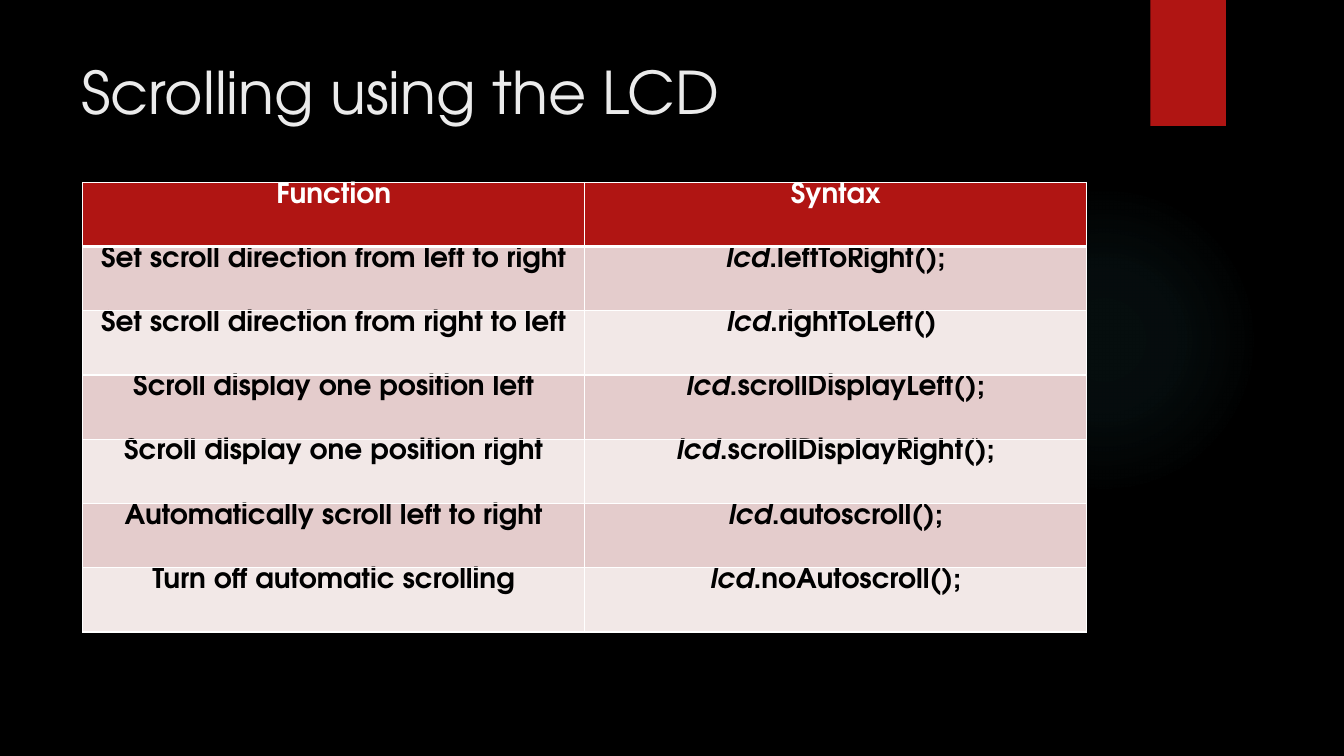
from lxml import etree
from pptx import Presentation, util as u
from pptx.dml.color import RGBColor
from pptx.enum import shapes, text
from pptx.oxml import parse_xml
from pptx.oxml.ns import nsdecls, qn

W, H = 13.33, 7.5
FONT = "TeX Gyre Adventor"
COLORS = {"back": "000000", "red": "B01513", "glow": "50B9C1", "title": "EBEBEB",
          "white": "FFFFFF", "ink": "000000", "odd": "E4CCCC", "even": "F2E8E7"}
GLOW_STOPS = [(0, 7), (36, 6), (69, 0)]  # position and opacity, in percent
HEADER = ("Function", "Syntax")
OBJECT = "lcd"
ROWS = [
    ("Set scroll direction from left to right", ".leftToRight();"),
    ("Set scroll direction from right to left", ".rightToLeft() "),
    ("Scroll display one position left", ".scrollDisplayLeft();"),
    ("Scroll display one position right", ".scrollDisplayRight();"),
    ("Automatically scroll left to right", ".autoscroll();"),
    ("Turn off automatic scrolling", ".noAutoscroll();"),
]


def rgb(name):
    return RGBColor.from_string(COLORS[name])


def inches(box):
    return [u.Inches(v) for v in box]


def add_run(p, content, size=20, color="ink", bold=None, italic=None):
    r = p.add_run()
    r.text = content
    f = r.font
    f.name, f.size, f.bold, f.italic = FONT, u.Pt(size), bold, italic
    f.color.rgb = rgb(color)


def add_plain_shape(s, kind, box):
    sp = s.shapes.add_shape(kind, *inches(box))
    sp.shadow.inherit = False
    sp.line.fill.background()
    return sp


def add_glow(s, box):
    sp = add_plain_shape(s, shapes.MSO_SHAPE.OVAL, box)
    stops = "".join(
        f'<a:gs pos="{pos * 1000}"><a:srgbClr val="{COLORS["glow"]}">'
        f'<a:alpha val="{alpha * 1000}"/></a:srgbClr></a:gs>' for pos, alpha in GLOW_STOPS)
    sp.fill.gradient()
    old = sp._element.spPr.find(qn("a:gradFill"))
    old.getparent().replace(old, parse_xml(
        f'<a:gradFill {nsdecls("a")}><a:gsLst>{stops}</a:gsLst><a:path path="circle">'
        '<a:fillToRect l="50000" t="50000" r="50000" b="50000"/></a:path></a:gradFill>'))


def add_ribbon(s, box):
    sp = add_plain_shape(s, shapes.MSO_SHAPE.RECTANGLE, box)
    sp.fill.solid()
    sp.fill.fore_color.rgb = rgb("red")


def add_title(s, box, content):
    tf = s.shapes.add_textbox(*inches(box)).text_frame
    tf.word_wrap = True
    add_run(tf.paragraphs[0], content, size=42, color="title")


def set_borders(cell, **widths):
    """Draw white borders; keys are L, R, T, B and values are points."""
    tcPr = cell._tc.get_or_add_tcPr()
    for i, (side, width) in enumerate(widths.items()):
        ln = etree.Element(qn(f"a:ln{side}"), w=str(u.Pt(width)))
        fill = etree.SubElement(ln, qn("a:solidFill"))
        etree.SubElement(fill, qn("a:srgbClr"), val=COLORS["white"])
        tcPr.insert(i, ln)


def style_cell(cell, fill, top=1, bottom=1):
    cell.margin_top = cell.margin_bottom = 0
    cell.fill.solid()
    cell.fill.fore_color.rgb = rgb(fill)
    set_borders(cell, L=1, R=1, T=top, B=bottom)
    p = cell.text_frame.paragraphs[0]
    p.alignment = text.PP_ALIGN.CENTER
    return p


def add_function_table(s, box):
    tbl = s.shapes.add_table(len(ROWS) + 1, len(HEADER), *inches(box)).table
    for row in tbl.rows:
        row.height = u.Inches(box[3] / len(tbl.rows))
    for c, heading in enumerate(HEADER):
        p = style_cell(tbl.cell(0, c), "red", bottom=3)
        add_run(p, heading, color="white", bold=True)
    for i, (purpose, method) in enumerate(ROWS, 1):
        fill, top = ("odd" if i % 2 else "even"), (3 if i == 1 else 1)
        add_run(style_cell(tbl.cell(i, 0), fill, top), purpose, bold=True)
        p = style_cell(tbl.cell(i, 1), fill, top)
        add_run(p, OBJECT, bold=True, italic=True)
        add_run(p, method, bold=True, italic=False)


def main():
    prs = Presentation()
    prs.slide_width, prs.slide_height = u.Inches(W), u.Inches(H)
    s = prs.slides.add_slide(prs.slide_layouts[6])
    s.background.fill.solid()
    s.background.fill.fore_color.rgb = rgb("back")
    add_glow(s, (9.41, 1.83, 3.08, 3.08))
    add_ribbon(s, (11.41, 0, 0.75, H / 6))
    add_title(s, (0.71, 0.5, 10.29, 1.02), "Scrolling using the LCD")
    add_function_table(s, (0.82, 1.81, 9.96, 4.46))
    prs.save("out.pptx")


if __name__ == "__main__":
    main()
